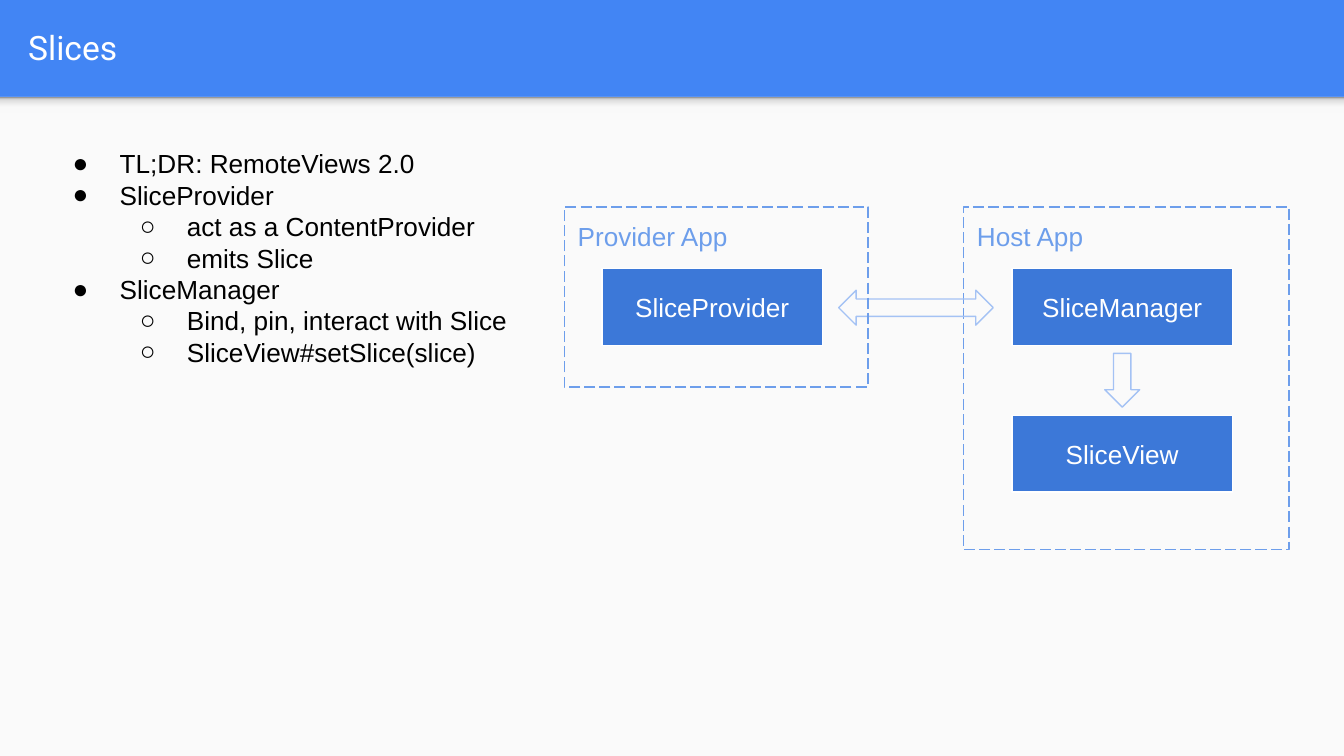
from dataclasses import dataclass

from lxml.etree import SubElement
from pptx import Presentation
from pptx.dml.color import RGBColor
from pptx.enum.dml import MSO_LINE
from pptx.enum.shapes import MSO_SHAPE
from pptx.enum.text import MSO_ANCHOR, MSO_AUTO_SIZE, PP_ALIGN
from pptx.oxml.ns import qn
from pptx.util import Inches, Pt


@dataclass(frozen=True)
class Theme:
    header: str = "4285F4"
    panel: str = "FAFAFA"
    box: str = "3C78D8"
    frame: str = "6D9EEB"
    arrow: str = "A4C2F4"
    light: str = "FFFFFF"
    dark: str = "000000"
    shadow_stops: tuple = ((0, "F9F9F9"), (36, "F9F9F9"), (80, "DEDEDE"), (100, "999999"))
    title_font: str = "Roboto"
    body_font: str = "Arial"
    title_size: int = 18
    body_size: int = 14
    line_width: float = 0.75


THEME = Theme()
SLIDE_WIDTH = 10
SLIDE_HEIGHT = SLIDE_WIDTH * 9 / 16
HEADER_HEIGHT = 0.72
BOX_WIDTH, BOX_HEIGHT = 1.64, 0.57
PROVIDER_LEFT, HOST_LEFT = 4.48, 7.53
TOP_ROW, BOTTOM_ROW = 2, 3.09
FRAME_TOP = 1.54

BULLETS = [
    (0, "TL;DR: RemoteViews 2.0"),
    (0, "SliceProvider"),
    (1, "act as a ContentProvider"),
    (1, "emits Slice"),
    (0, "SliceManager"),
    (1, "Bind, pin, interact with Slice"),
    (1, "SliceView#setSlice(slice)"),
]


def rgb(color):
    return RGBColor.from_string(color)


def set_up_frame(frame, anchor):
    frame.word_wrap = True
    frame.auto_size = MSO_AUTO_SIZE.NONE
    frame.vertical_anchor = anchor
    frame.margin_left = frame.margin_right = Inches(0.1)
    frame.margin_top = frame.margin_bottom = Inches(0.1)


def write_text(paragraph, text, color, size=THEME.body_size, font=THEME.body_font,
               align=PP_ALIGN.LEFT):
    paragraph.alignment = align
    paragraph.space_before = paragraph.space_after = Pt(0)
    run = paragraph.add_run()
    run.text = text
    run.font.name = font
    run.font.size = Pt(size)
    run.font.color.rgb = rgb(color)


def place(shape, left, top, width, height):
    shape.left, shape.top = Inches(left), Inches(top)
    shape.width, shape.height = Inches(width), Inches(height)


def add_plain_shape(shapes, kind, left, top, width, height, fill=None, line=None):
    shape = shapes.add_shape(kind, Inches(left), Inches(top), Inches(width), Inches(height))
    shape.shadow.inherit = False
    if fill:
        shape.fill.solid()
        shape.fill.fore_color.rgb = rgb(fill)
    else:
        shape.fill.background()
    if line:
        shape.line.color.rgb = rgb(line)
        shape.line.width = Pt(THEME.line_width)
    else:
        shape.line.fill.background()
    return shape


def add_backdrop(slide):
    """Blue page, light panel below the header, and the header's soft shadow."""
    slide.background.fill.solid()
    slide.background.fill.fore_color.rgb = rgb(THEME.header)
    panel = add_plain_shape(slide.shapes, MSO_SHAPE.RECTANGLE, 0, HEADER_HEIGHT,
                            SLIDE_WIDTH, SLIDE_HEIGHT - HEADER_HEIGHT, fill=THEME.panel)
    shadow = add_plain_shape(slide.shapes, MSO_SHAPE.RECTANGLE, 0, HEADER_HEIGHT,
                             SLIDE_WIDTH, 0.12)
    shadow.fill.gradient()
    shadow.fill.gradient_angle = 90
    stop_list = shadow.element.spPr.find(".//" + qn("a:gsLst"))
    stop_list.clear()
    for percent, color in THEME.shadow_stops:
        stop = SubElement(stop_list, qn("a:gs"), pos=str(percent * 1000))
        SubElement(stop, qn("a:srgbClr"), val=color)
    # Both pieces go behind the placeholders.
    tree = panel.element.getparent()
    for position, shape in enumerate((panel, shadow), start=2):
        tree.insert(position, shape.element)


def add_title(slide, text):
    title = slide.shapes.title
    place(title, 0.11, 0.02, 9.65, 0.66)
    set_up_frame(title.text_frame, MSO_ANCHOR.MIDDLE)
    write_text(title.text_frame.paragraphs[0], text, THEME.light,
               size=THEME.title_size, font=THEME.title_font)


def set_bullet(paragraph, level):
    paragraph.level = level
    properties = paragraph._p.get_or_add_pPr()
    properties.set("marL", str(Inches(0.5 * (level + 1))))
    properties.set("indent", str(Inches(-0.35)))
    color = SubElement(properties, qn("a:buClr"))
    SubElement(color, qn("a:srgbClr"), val=THEME.dark)
    SubElement(properties, qn("a:buFont"), typeface=THEME.body_font)
    SubElement(properties, qn("a:buChar"), char="●○"[level])


def add_bullets(slide, items):
    body = slide.placeholders[1]
    place(body, 0.29, 1, 3.67, 3.99)
    frame = body.text_frame
    set_up_frame(frame, MSO_ANCHOR.TOP)
    for index, (level, text) in enumerate(items):
        paragraph = frame.add_paragraph() if index else frame.paragraphs[0]
        write_text(paragraph, text, THEME.dark)
        set_bullet(paragraph, level)


def add_app_frame(shapes, text, left, width, height):
    shape = add_plain_shape(shapes, MSO_SHAPE.RECTANGLE, left, FRAME_TOP, width, height,
                            line=THEME.frame)
    shape.line.dash_style = MSO_LINE.LONG_DASH
    set_up_frame(shape.text_frame, MSO_ANCHOR.TOP)
    write_text(shape.text_frame.paragraphs[0], text, THEME.frame)


def add_component(shapes, text, left, top):
    shape = add_plain_shape(shapes, MSO_SHAPE.RECTANGLE, left, top, BOX_WIDTH, BOX_HEIGHT,
                            fill=THEME.box, line=THEME.light)
    set_up_frame(shape.text_frame, MSO_ANCHOR.MIDDLE)
    write_text(shape.text_frame.paragraphs[0], text, THEME.light, align=PP_ALIGN.CENTER)


def add_diagram(slide):
    shapes = slide.shapes.add_group_shape().shapes
    add_app_frame(shapes, "Host App", 7.17, 2.42, 2.55)
    add_component(shapes, "SliceProvider", PROVIDER_LEFT, TOP_ROW)
    add_component(shapes, "SliceManager", HOST_LEFT, TOP_ROW)
    add_component(shapes, "SliceView", HOST_LEFT, BOTTOM_ROW)
    add_plain_shape(shapes, MSO_SHAPE.DOWN_ARROW, 8.22, 2.63, 0.26, 0.4, line=THEME.arrow)
    add_plain_shape(shapes, MSO_SHAPE.LEFT_RIGHT_ARROW, 6.24, 2.16, 1.15, 0.26,
                    line=THEME.arrow)
    add_app_frame(shapes, "Provider App", 4.2, 2.26, 1.34)


def main():
    presentation = Presentation()
    presentation.slide_width = Inches(SLIDE_WIDTH)
    presentation.slide_height = Inches(SLIDE_HEIGHT)
    slide = presentation.slides.add_slide(presentation.slide_layouts[1])
    add_backdrop(slide)
    add_title(slide, "Slices")
    add_diagram(slide)
    add_bullets(slide, BULLETS)
    presentation.save("out.pptx")


if __name__ == "__main__":
    main()
